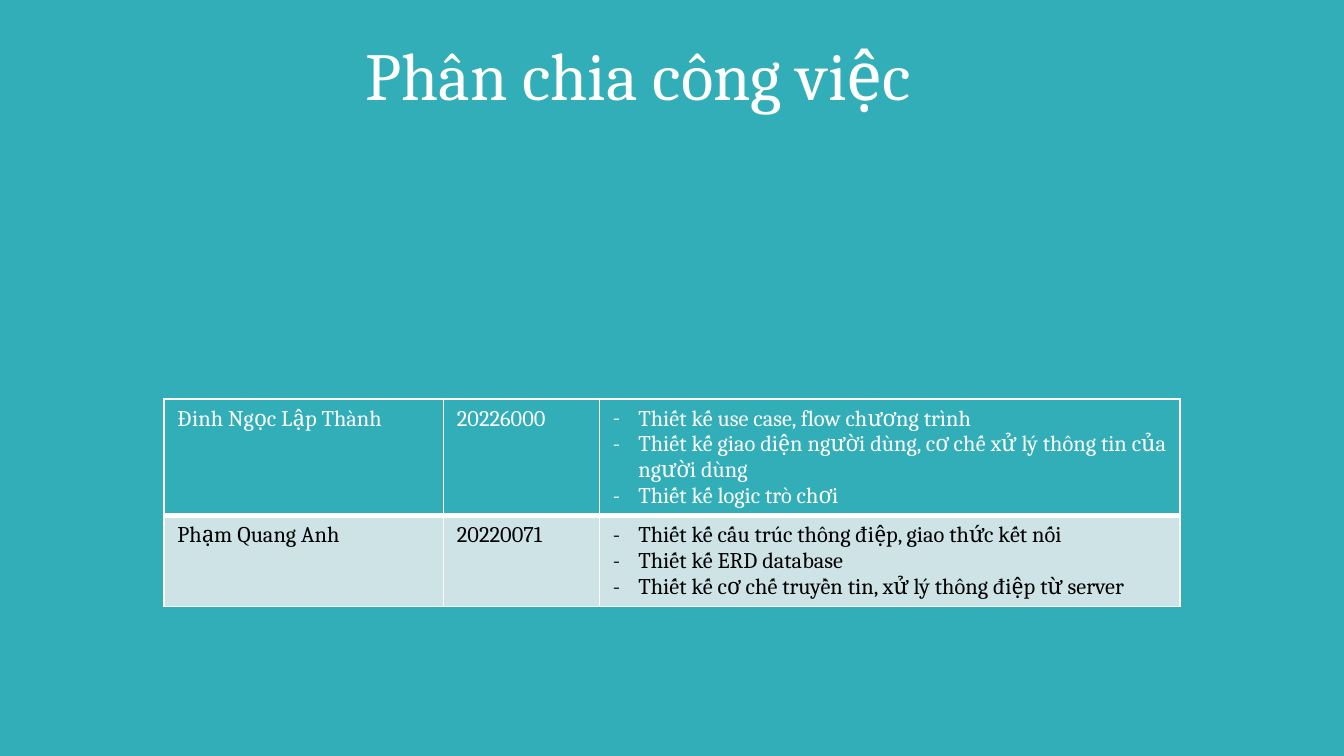
import pptx
import pptx.dml.color
import pptx.enum.text
import pptx.oxml.ns
import pptx.util
from lxml import etree

Inches, Pt = pptx.util.Inches, pptx.util.Pt
RGB = pptx.dml.color.RGBColor.from_string

COLORS = {"teal": "32AEB8", "pale": "CEE3E6", "white": "FFFFFF", "black": "000000"}
FONT = "Cambria"
SLIDE_WIDTH = 10
SLIDE_HEIGHT = SLIDE_WIDTH * 9 / 16
TITLE = "Phân chia công việc"
MEMBERS = [
    ("Đinh Ngọc Lập Thành", "20226000", [
        "Thiết kế use case, flow chương trình",
        "Thiết kế giao diện người dùng, cơ chế xử lý thông tin của người dùng",
        "Thiết kế logic trò chơi",
    ]),
    ("Phạm Quang Anh", "20220071", [
        "Thiết kế cấu trúc thông điệp, giao thức kết nối",
        "Thiết kế ERD database",
        "Thiết kế cơ chế truyền tin, xử lý thông điệp từ server",
    ]),
]
# fill, text colour, bottom border width, row height
ROW_STYLES = [("teal", "white", 3, 0.86), ("pale", "black", 1, 0.67)]
COLUMN_WIDTHS = [2.08, 1.16, 4.32]
TABLE_LEFT, TABLE_TOP = 1.22, 2.97
TASK_INDENT = 0.19


def add_child(parent, tag, **attributes):
    return etree.SubElement(parent, pptx.oxml.ns.qn(tag), attributes)


def set_indent(paragraph, left, first=0):
    properties = paragraph._p.get_or_add_pPr()
    properties.set("marL", str(Inches(left)))
    properties.set("indent", str(Inches(first)))
    return properties


def set_font(paragraph, size, color):
    paragraph.font.name = FONT
    paragraph.font.size = Pt(size)
    paragraph.font.color.rgb = RGB(COLORS[color])


def set_borders(cell, top, bottom):
    properties = cell._tc.get_or_add_tcPr()
    for side, width in (("L", 1), ("R", 1), ("T", top), ("B", bottom)):
        line = add_child(properties, f"a:ln{side}", w=str(Pt(width)))
        add_child(add_child(line, "a:solidFill"), "a:srgbClr", val=COLORS["white"])


def fill_cell(cell, lines, color, bulleted):
    frame = cell.text_frame
    frame.text = "\n".join(lines)
    for paragraph in frame.paragraphs:
        set_font(paragraph, 12, color)
        if bulleted:
            properties = set_indent(paragraph, TASK_INDENT, -TASK_INDENT)
            bullet_font = etree.Element(pptx.oxml.ns.qn("a:buFont"), typeface=FONT)
            bullet = etree.Element(pptx.oxml.ns.qn("a:buChar"), char="-")
            properties.insert(0, bullet_font)
            properties.insert(1, bullet)


def add_title(slide):
    title = slide.shapes.title
    title.left, title.top = Inches(-1.38), Inches(0.2)
    title.width, title.height = Inches(10.55), Inches(0.63)
    frame = title.text_frame
    frame.text = TITLE
    frame.word_wrap = True
    frame.auto_size = pptx.enum.text.MSO_AUTO_SIZE.NONE
    frame.vertical_anchor = pptx.enum.text.MSO_ANCHOR.TOP
    paragraph = frame.paragraphs[0]
    paragraph.alignment = pptx.enum.text.PP_ALIGN.LEFT
    set_indent(paragraph, 4)
    set_font(paragraph, 36, "white")


def add_member_table(slide):
    heights = [style[3] for style in ROW_STYLES]
    table = slide.shapes.add_table(
        len(MEMBERS), len(COLUMN_WIDTHS), Inches(TABLE_LEFT), Inches(TABLE_TOP),
        Inches(sum(COLUMN_WIDTHS)), Inches(sum(heights))).table
    table.first_row = table.horz_banding = False
    for column, width in zip(table.columns, COLUMN_WIDTHS):
        column.width = Inches(width)
    top = 1
    for row, member, style in zip(table.rows, MEMBERS, ROW_STYLES):
        fill, color, bottom, height = style
        row.height = Inches(height)
        for cell, content in zip(row.cells, member):
            bulleted = isinstance(content, list)
            fill_cell(cell, content if bulleted else [content], color, bulleted)
            set_borders(cell, top, bottom)
            cell.fill.solid()
            cell.fill.fore_color.rgb = RGB(COLORS[fill])
        top = bottom


def main():
    presentation = pptx.Presentation()
    presentation.slide_width = Inches(SLIDE_WIDTH)
    presentation.slide_height = Inches(SLIDE_HEIGHT)
    slide = presentation.slides.add_slide(presentation.slide_layouts[5])
    slide.background.fill.solid()
    slide.background.fill.fore_color.rgb = RGB(COLORS["teal"])
    add_title(slide)
    add_member_table(slide)
    presentation.save("out.pptx")


if __name__ == "__main__":
    main()
